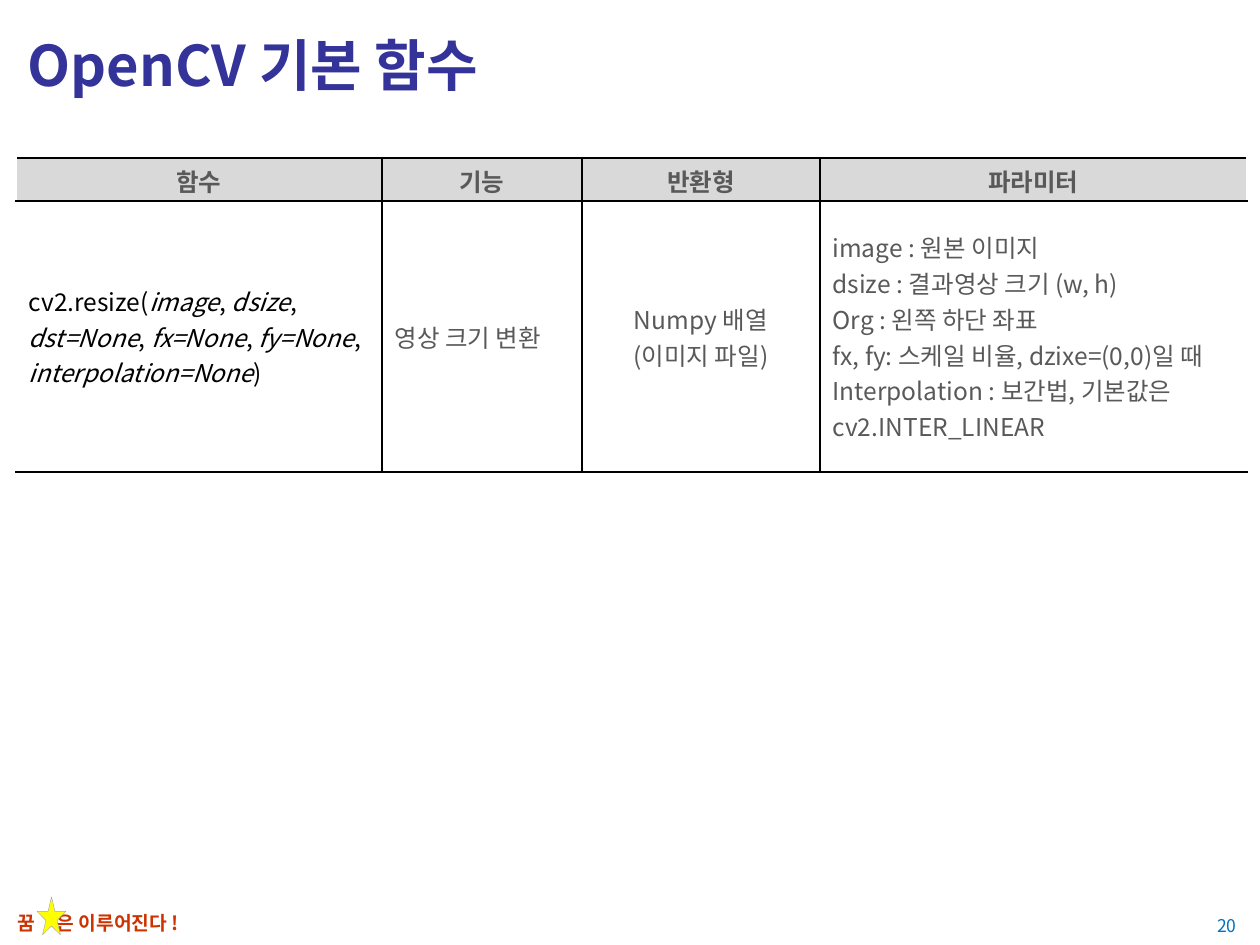
from dataclasses import dataclass

from lxml.etree import SubElement
from pptx import Presentation
from pptx.dml.color import RGBColor
from pptx.enum.shapes import MSO_SHAPE
from pptx.enum.text import MSO_ANCHOR as Anchor, PP_ALIGN as Align
from pptx.oxml.ns import qn
from pptx.util import Pt

EMU_PER_PX = 914400 / 126


@dataclass(frozen=True)
class Theme:
    font: str = "Noto Sans CJK KR"
    title: str = "333399"
    text: str = "595959"
    code: str = "000000"
    header_fill: str = "D9D9D9"
    rule: str = "000000"
    paper: str = "FFFFFF"
    motto: str = "CC3300"
    star: str = "FFFF00"
    star_line: str = "A6A6A6"
    number: str = "0070C0"
    title_size: int = 32
    table_size: int = 14
    motto_size: int = 11
    number_size: int = 10


THEME = Theme()
HEADERS = ["함수", "기능", "반환형", "파라미터"]
SIGNATURE = ["cv2.resize(", "image", ", ", "dsize", ", ", "dst=None", ", ", "fx=None",
             ", ", "fy=None", ", ", "interpolation=None", ")"]
PURPOSE = ["영상 크기 변환"]
RETURN_TYPE = ["Numpy 배열", "(이미지 파일)"]
PARAMETERS = [
    "image : 원본 이미지",
    "dsize : 결과영상 크기 (w, h)",
    "Org : 왼쪽 하단 좌표",
    "fx, fy: 스케일 비율, dzixe=(0,0)일 때",
    "Interpolation : 보간법, 기본값은 cv2.INTER_LINEAR",
]
COLUMN_WIDTHS = [366, 200, 238, 427]
ROW_HEIGHTS = [43, 271]


def px(length):
    return round(length * EMU_PER_PX)


def box_px(*box):
    return [px(length) for length in box]


def style(paragraph, size, color, bold=False, align=Align.LEFT):
    paragraph.alignment = align
    font = paragraph.font
    font.size, font.bold, font.name = Pt(size), bold, THEME.font
    font.color.rgb = RGBColor.from_string(color)
    defaults = paragraph._p.pPr.find(qn("a:defRPr"))
    SubElement(defaults, qn("a:ea"), typeface=THEME.font)


def write_lines(frame, lines, *args, **options):
    frame.text = "\n".join(lines)
    for paragraph in frame.paragraphs:
        style(paragraph, *args, **options)


def set_borders(cell, left, right):
    properties = cell._tc.get_or_add_tcPr()
    sides = {"a:lnL": left, "a:lnR": right, "a:lnT": THEME.rule, "a:lnB": THEME.rule}
    for tag, color in sides.items():
        line = SubElement(properties, qn(tag), w=str(Pt(1)))
        SubElement(SubElement(line, qn("a:solidFill")), qn("a:srgbClr"), val=color)


def add_title(slide, left, top, width, height):
    title = slide.shapes.title
    title.left, title.top, title.width, title.height = box_px(left, top, width, height)
    title.text_frame.vertical_anchor = Anchor.MIDDLE
    write_lines(title.text_frame, ["OpenCV 기본 함수"], THEME.title_size, THEME.title, bold=True)


def write_signature(frame):
    """Write the call with its arguments, every second part, in italics."""
    paragraph = frame.paragraphs[0]
    style(paragraph, THEME.table_size, THEME.code)
    for index, part in enumerate(SIGNATURE):
        run = paragraph.add_run()
        run.text = part
        if index % 2:
            run.font.italic = True


def add_function_table(slide, left, top):
    box = box_px(left, top, sum(COLUMN_WIDTHS), sum(ROW_HEIGHTS))
    table = slide.shapes.add_table(len(ROW_HEIGHTS), len(COLUMN_WIDTHS), *box).table
    for row, height in zip(table.rows, ROW_HEIGHTS):
        row.height = px(height)
    last = len(COLUMN_WIDTHS) - 1
    for index, width in enumerate(COLUMN_WIDTHS):
        table.columns[index].width = px(width)
        header, body = table.cell(0, index), table.cell(1, index)
        for cell in (header, body):
            set_borders(cell, THEME.rule if index else THEME.paper,
                        THEME.rule if index < last else THEME.paper)
            cell.vertical_anchor = Anchor.MIDDLE
            cell.margin_top = cell.margin_bottom = px(5)
        header.fill.solid()
        header.fill.fore_color.rgb = RGBColor.from_string(THEME.header_fill)
        body.fill.background()
        write_lines(header.text_frame, [HEADERS[index]], THEME.table_size, THEME.text,
                    bold=True, align=Align.CENTER)

    write_signature(table.cell(1, 0).text_frame)
    details = [(PURPOSE, Align.LEFT), (RETURN_TYPE, Align.CENTER), (PARAMETERS, Align.LEFT)]
    for column, (lines, align) in enumerate(details, start=1):
        write_lines(table.cell(1, column).text_frame, lines,
                    THEME.table_size, THEME.text, align=align)


def add_motto(slide, left, top, width, height):
    """Place the motto, with a star in the gap that a tab stop leaves."""
    frame = slide.shapes.add_textbox(*box_px(left, top, width, height)).text_frame
    frame.word_wrap = True
    paragraph = frame.paragraphs[0]
    paragraph.add_run().text = "꿈\t은 이루어진다 !"
    tabs = SubElement(paragraph._p.get_or_add_pPr(), qn("a:tabLst"))
    SubElement(tabs, qn("a:tab"), pos=str(px(39)), algn="l")
    style(paragraph, THEME.motto_size, THEME.motto, bold=True)

    star = slide.shapes.add_shape(MSO_SHAPE.STAR_5_POINT, *box_px(left + 32, top - 8, 29, 38))
    star.shadow.inherit = False
    star.fill.solid()
    star.fill.fore_color.rgb = RGBColor.from_string(THEME.star)
    star.line.color.rgb = RGBColor.from_string(THEME.star_line)
    star.line.width = Pt(0.25)


def add_slide_number(slide, left, top, width, height):
    frame = slide.shapes.add_textbox(*box_px(left, top, width, height)).text_frame
    frame.word_wrap = True
    frame.vertical_anchor = Anchor.MIDDLE
    write_lines(frame, ["20"], THEME.number_size, THEME.number, align=Align.RIGHT)


def main():
    presentation = Presentation()
    presentation.slide_width, presentation.slide_height = px(1260), px(945)
    slide = presentation.slides.add_slide(presentation.slide_layouts[5])
    add_motto(slide, 5, 905, 659, 35)
    add_title(slide, 15, 13, 1230, 103)
    add_slide_number(slide, 1176, 903, 73, 44)
    add_function_table(slide, 16, 158)
    presentation.save("out.pptx")


if __name__ == "__main__":
    main()
